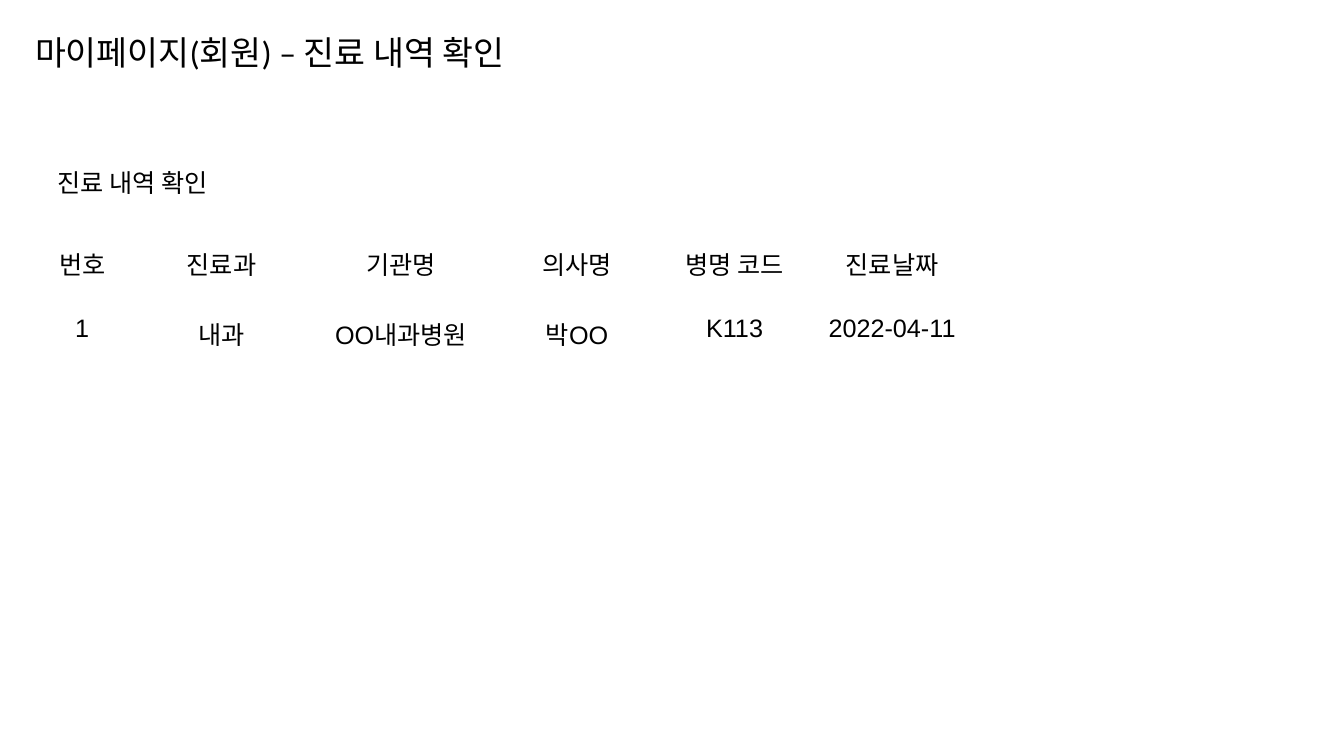
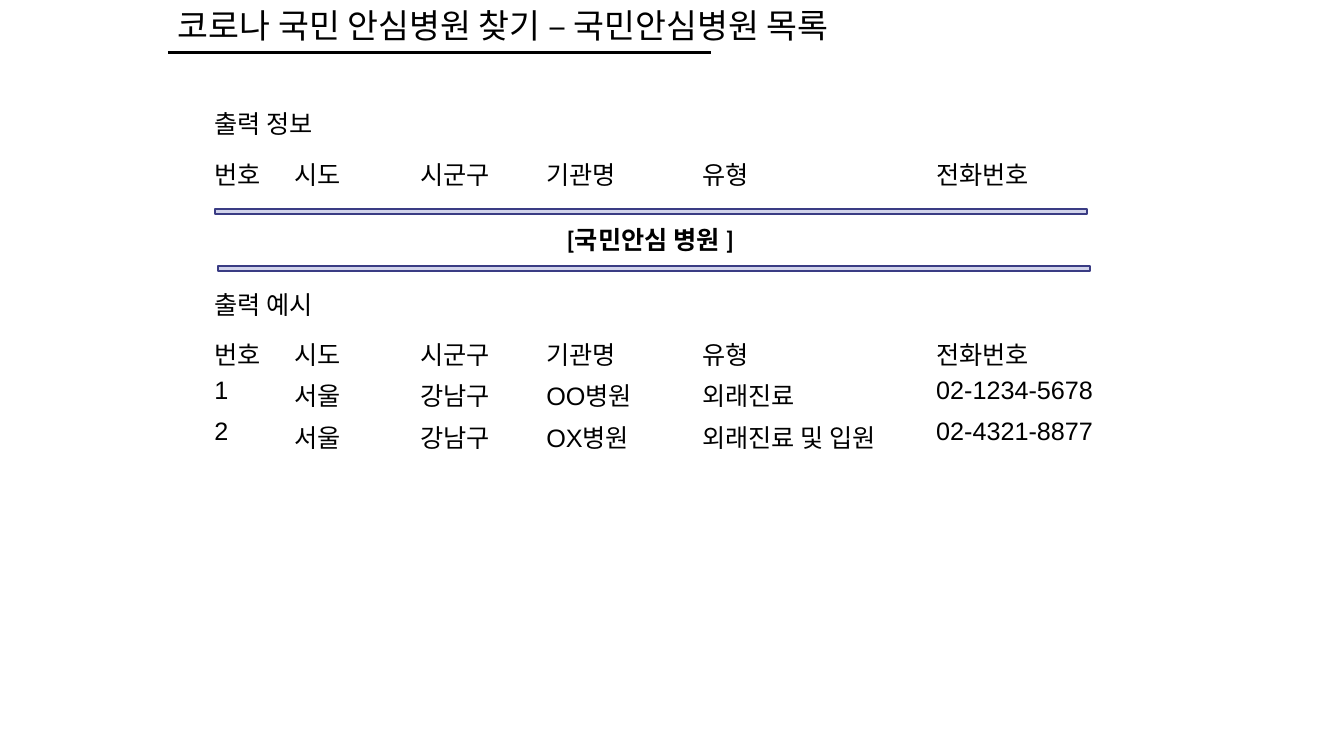
from dataclasses import dataclass

from lxml.etree import SubElement
from pptx import Presentation
from pptx.dml.color import RGBColor
from pptx.enum.shapes import MSO_CONNECTOR, MSO_SHAPE
from pptx.enum.text import PP_ALIGN
from pptx.oxml.ns import qn
from pptx.util import Pt


@dataclass(frozen=True)
class Theme:
    text: RGBColor = RGBColor(0x00, 0x00, 0x00)
    band_fill: RGBColor = RGBColor(0xD1, 0xD3, 0xEB)
    band_line: RGBColor = RGBColor(0x3A, 0x3C, 0x84)
    text_font: str = "Calibri"
    table_font: str = "Arial"
    title_size: int = 24
    body_size: int = 18


THEME = Theme()
SLIDE_SIZE = (960, 540)
LABEL_HEIGHT = 29
ROW_HEIGHT = 29.5

VISITS = {
    "title": "마이페이지(회원) – 진료 내역 확인",
    "label": "진료 내역 확인",
    "columns": [81.5, 117.5, 139, 112.5, 112.5, 112.5],
    "rows": [
        ("번호", "진료과", "기관명", "의사명", "병명 코드", "진료날짜"),
        ("1", "내과", "OO내과병원", "박OO", "K113", "2022-04-11"),
    ],
    "row_heights": [50, ROW_HEIGHT],
}

HOSPITAL_FIELDS = ("번호", "시도", "시군구", "기관명", "유형", "전화번호")
HOSPITALS = {
    "title": "코로나 국민 안심병원 찾기 – 국민안심병원 목록",
    "heading": "[국민안심 병원 ]",
    "columns": [57, 90, 90, 111.5, 167, 152],
    "sections": [
        ("출력 정보", 74, [HOSPITAL_FIELDS]),
        ("출력 예시", 203, [
            HOSPITAL_FIELDS,
            ("1", "서울", "강남구", "OO병원", "외래진료", "02-1234-5678"),
            ("2", "서울", "강남구", "OX병원", "외래진료 및 입원", "02-4321-8877"),
        ]),
    ],
    "bands": [(153.5, 149), (155.5, 190)],
}


def format_text(text_frame, font_name, size, align, bold=False):
    for paragraph in text_frame.paragraphs:
        paragraph.alignment = align
        for run in paragraph.runs:
            run.font.name = font_name
            run.font.size = Pt(size)
            run.font.bold = bold
            run.font.color.rgb = THEME.text


def add_text(slide, text, left, top, width, height=LABEL_HEIGHT,
             size=THEME.body_size, align=PP_ALIGN.LEFT, bold=False):
    shape = slide.shapes.add_textbox(Pt(left), Pt(top), Pt(width), Pt(height))
    shape.text_frame.word_wrap = True
    shape.text_frame.text = text
    format_text(shape.text_frame, THEME.text_font, size, align, bold)


def add_title(slide, text, left, top, width):
    add_text(slide, text, left, top, width, 36, THEME.title_size)


def add_grid(slide, rows, columns, row_heights, left, top, align=PP_ALIGN.LEFT):
    table = slide.shapes.add_table(
        len(rows), len(columns), Pt(left), Pt(top),
        Pt(sum(columns)), Pt(sum(row_heights))).table
    table.first_row = False
    table.horz_banding = False
    for column, width in zip(table.columns, columns):
        column.width = Pt(width)
    for table_row, height, values in zip(table.rows, row_heights, rows):
        table_row.height = Pt(height)
        for cell, value in zip(table_row.cells, values):
            cell.fill.background()
            cell.text_frame.text = value
            format_text(cell.text_frame, THEME.table_font, THEME.body_size, align)


def add_band(slide, left, top):
    band = slide.shapes.add_shape(
        MSO_SHAPE.FLOWCHART_PROCESS, Pt(left), Pt(top), Pt(623), Pt(3.6))
    band.shadow.inherit = False
    band.fill.solid()
    band.fill.fore_color.rgb = THEME.band_fill
    band.line.color.rgb = THEME.band_line
    band.line.width = Pt(1.5)


def add_title_rule(slide, left, right, y):
    rule = slide.shapes.add_connector(
        MSO_CONNECTOR.STRAIGHT, Pt(left), Pt(y), Pt(right), Pt(y))
    rule.line.color.rgb = THEME.text
    rule.line.width = Pt(1.75)
    SubElement(rule.element.spPr, qn("a:effectLst"))


def build_visits(slide):
    add_title(slide, VISITS["title"], 18, 19.5, 462)
    add_text(slide, VISITS["label"], 34, 116, 556)
    add_grid(slide, VISITS["rows"], VISITS["columns"], VISITS["row_heights"],
             18, 171.5, PP_ALIGN.CENTER)


def build_hospitals(slide):
    left = 146
    add_title_rule(slide, 120, 508, 37.5)
    add_title(slide, HOSPITALS["title"], 120, 0, 570)
    for label, top, rows in HOSPITALS["sections"]:
        add_text(slide, label, left, top, 141)
        add_grid(slide, rows, HOSPITALS["columns"], [ROW_HEIGHT] * len(rows),
                 left, top + 33)
    for band_left, band_top in HOSPITALS["bands"]:
        add_band(slide, band_left, band_top)
    add_text(slide, HOSPITALS["heading"], 287.5, 156.5, 354,
             align=PP_ALIGN.CENTER, bold=True)


def main():
    presentation = Presentation()
    presentation.slide_width, presentation.slide_height = map(Pt, SLIDE_SIZE)
    blank_layout = presentation.slide_layouts[6]
    for build in (build_visits, build_hospitals):
        build(presentation.slides.add_slide(blank_layout))
    presentation.save("out.pptx")


if __name__ == "__main__":
    main()
